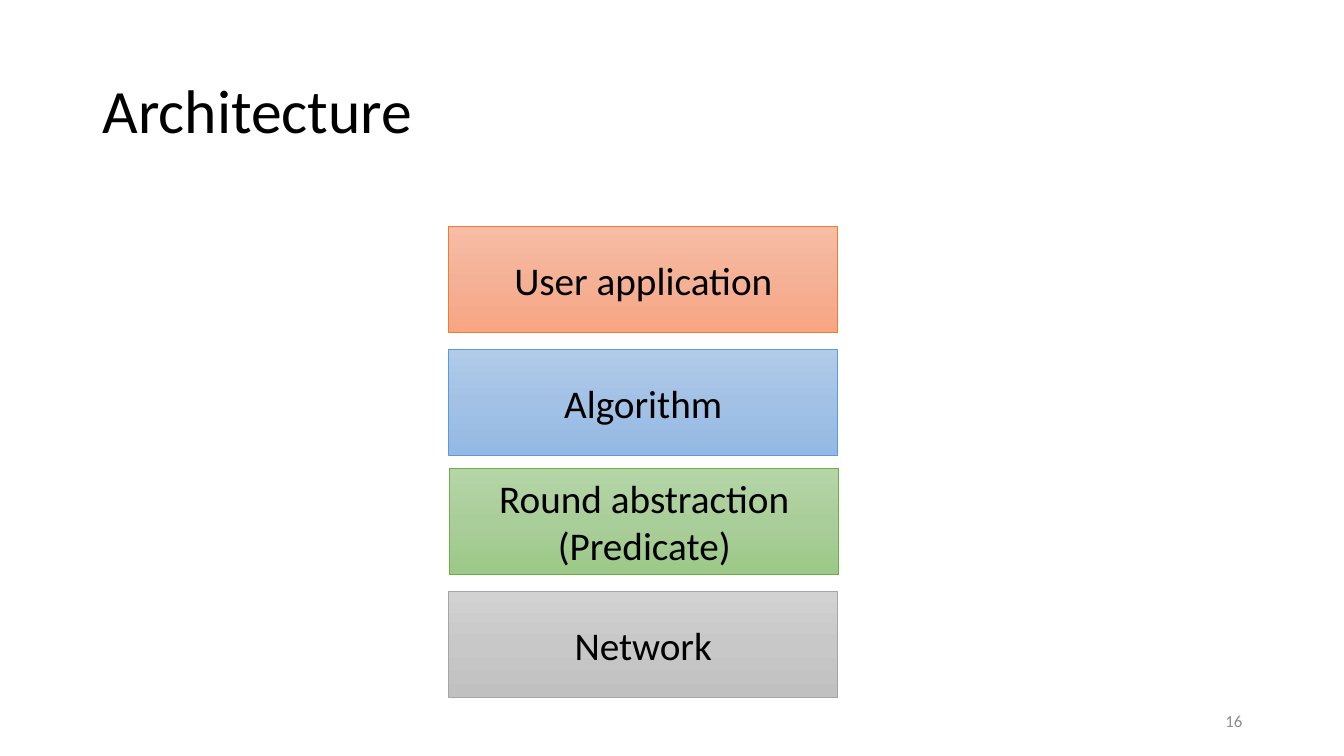
from copy import deepcopy

from pptx import Presentation
from pptx.dml.color import RGBColor
from pptx.enum.shapes import MSO_SHAPE
from pptx.enum.text import MSO_ANCHOR, PP_ALIGN
from pptx.oxml.ns import qn
from pptx.util import Inches, Pt

RECT = MSO_SHAPE.RECTANGLE
MIDDLE = MSO_ANCHOR.MIDDLE
LEFT, CENTER, RIGHT = PP_ALIGN.LEFT, PP_ALIGN.CENTER, PP_ALIGN.RIGHT

BLACK = RGBColor(0x00, 0x00, 0x00)
GRAY = RGBColor(0x8C, 0x8C, 0x8C)

# Line colour, then gradient from top to bottom
ORANGE = (RGBColor(0xED, 0x7D, 0x31), RGBColor(0xF7, 0xBD, 0xA5),
          RGBColor(0xF5, 0xB1, 0x96), RGBColor(0xF8, 0xA5, 0x82))
BLUE = (RGBColor(0x5B, 0x9B, 0xD5), RGBColor(0xB1, 0xCB, 0xE9),
        RGBColor(0xA3, 0xC1, 0xE5), RGBColor(0x93, 0xB9, 0xE4))
GREEN = (RGBColor(0x70, 0xAD, 0x47), RGBColor(0xB5, 0xD5, 0xA7),
         RGBColor(0xAA, 0xCE, 0x9A), RGBColor(0x9C, 0xC9, 0x87))
SILVER = (RGBColor(0xA5, 0xA5, 0xA5), RGBColor(0xD2, 0xD2, 0xD2),
          RGBColor(0xC8, 0xC8, 0xC8), RGBColor(0xC0, 0xC0, 0xC0))

# Layers: text, left, top, colours
LAYERS = [
    ("User application", 4.45, 2.25, ORANGE),
    ("Algorithm", 4.45, 3.47, BLUE),
    ("Round abstraction (Predicate)", 4.46, 4.65, GREEN),
    ("Network", 4.45, 5.87, SILVER),
]


def set_text(shape, text, size, color=BLACK, align=LEFT, space=1.0):
    frame = shape.text_frame
    frame.word_wrap = True
    frame.vertical_anchor = MIDDLE
    para = frame.paragraphs[0]
    para.alignment = align
    para.line_spacing = space
    run = para.add_run()
    run.text = text
    run.font.color.rgb = color
    for key, value in {"name": "Calibri", "size": Pt(size)}.items():
        setattr(run.font, key, value)


def add_label(slide, box, text, size, **style):
    shape = slide.shapes.add_textbox(*map(Inches, box))
    set_text(shape, text, size, **style)


def set_fade(shape, colors):
    fill = shape.fill
    fill.gradient()
    fill.gradient_angle = 270
    # The default gradient has two stops; add the middle one
    stops = shape._element.spPr.find(qn("a:gradFill")).find(qn("a:gsLst"))
    stops.insert(1, deepcopy(stops[0]))
    for stop, place, color in zip(fill.gradient_stops, (0, 0.5, 1), colors):
        stop.position = place
        stop.color.rgb = color


def add_layer(slide, text, left, top, colors):
    box = map(Inches, (left, top, 3.86, 1.05))
    shape = slide.shapes.add_shape(RECT, *box)
    shape.shadow.inherit = False
    line, *fade = colors
    set_fade(shape, fade)
    shape.line.color.rgb = line
    shape.line.width = Pt(0.5)
    set_text(shape, text, 28, align=CENTER)


def main():
    deck = Presentation()
    deck.slide_width = Inches(13.33)
    deck.slide_height = Inches(7.5)
    slide = deck.slides.add_slide(deck.slide_layouts[6])

    # Title
    add_label(slide, (0.92, 0.4, 11.5, 1.45), "Architecture", 44, space=0.9)

    # Stack of layers
    for layer in LAYERS:
        add_layer(slide, *layer)

    # Page number
    add_label(slide, (9.42, 6.95, 3, 0.4), "16", 12, color=GRAY, align=RIGHT)

    deck.save("out.pptx")


if __name__ == "__main__":
    main()
